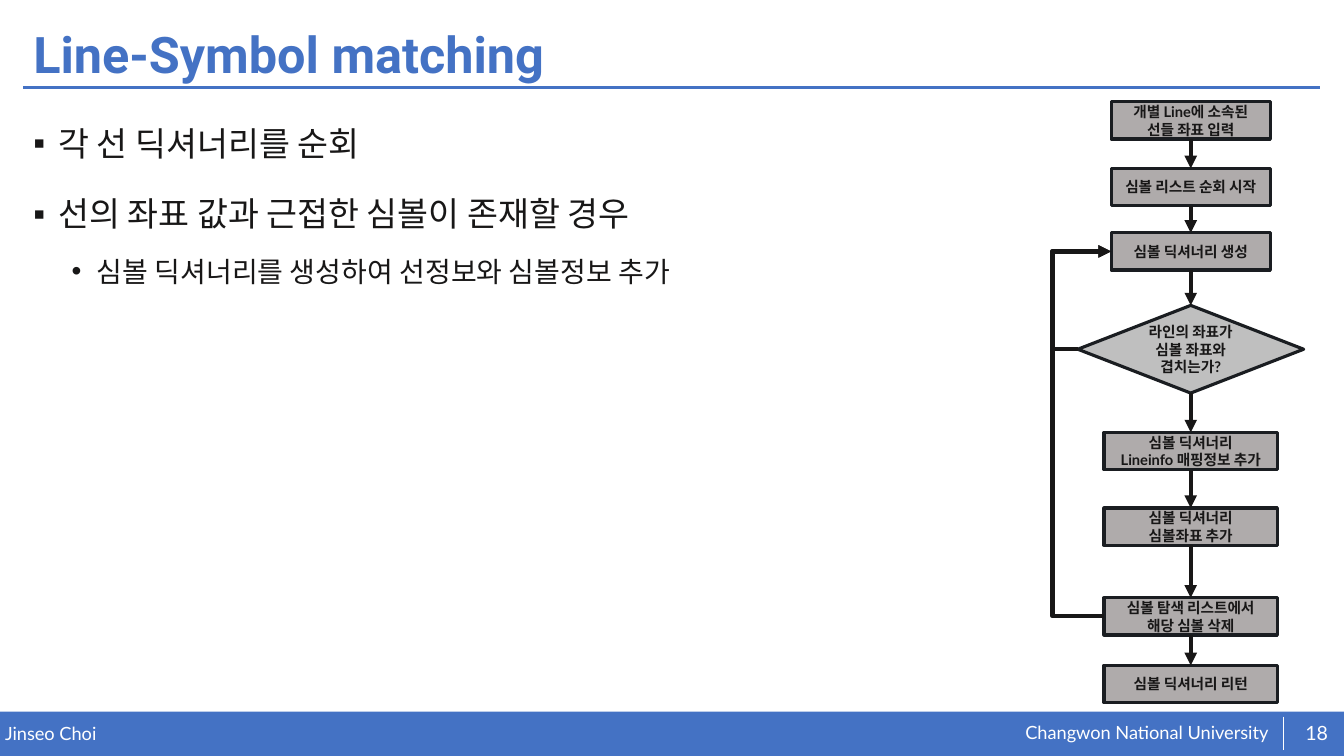
from lxml import etree
from pptx import Presentation
from pptx.dml.color import RGBColor
from pptx.enum.shapes import MSO_CONNECTOR, MSO_SHAPE
from pptx.enum.text import MSO_ANCHOR, MSO_AUTO_SIZE, PP_ALIGN
from pptx.oxml.ns import qn
from pptx.util import Inches, Pt

RECT, DIAMOND = MSO_SHAPE.RECTANGLE, MSO_SHAPE.FLOWCHART_DECISION
STRAIGHT, ELBOW = MSO_CONNECTOR.STRAIGHT, MSO_CONNECTOR.ELBOW
LEFT, CENTER = PP_ALIGN.LEFT, PP_ALIGN.CENTER
TOP, MIDDLE = MSO_ANCHOR.TOP, MSO_ANCHOR.MIDDLE
NOFIT = MSO_AUTO_SIZE.NONE

COLORS = {"blue": "4472C4", "white": "FFFFFF", "ink": "181717",
          "edge": "1A1D21", "box": "AFABAB", "choice": "BFBFBF"}

POINTS = [("각 선 딕셔너리를 순회", 0),
          ("선의 좌표 값과 근접한 심볼이 존재할 경우", 0),
          ("심볼 딕셔너리를 생성하여 선정보와 심볼정보 추가", 1)]
LEVELS = [{"size": 24, "before": 10, "mark": "▪", "indent": 0.25},
          {"size": 20, "before": 5, "mark": "•", "indent": 0.63}]

STEPS = [(["개별 Line에 소속된", "선들 좌표 입력"], 0, 1.58),
         (["심볼 리스트 순회 시작"], 0.66, 1.58),
         (["심볼 딕셔너리 생성"], 1.3, 1.58),
         (["라인의 좌표가", "심볼 좌표와", "겹치는가?"], 2.02, 2.24),
         (["심볼 딕셔너리", "Lineinfo 매핑정보 추가"], 3.28, 1.72),
         (["심볼 딕셔너리", "심볼좌표 추가"], 4.03, 1.72),
         (["심볼 탐색 리스트에서", "해당 심볼 삭제"], 4.92, 1.72),
         (["심볼 딕셔너리 리턴"], 5.59, 1.72)]
MAKE, CHECK, DROP = 2, 3, 6


def color(name):
    """Return the named colour."""
    return RGBColor.from_string(COLORS[name])


def write(frame, lines, size=13, font="Lato", hue="ink", bold=False,
          align=LEFT, anchor=TOP, inset=0):
    """Fill a text frame with one paragraph per line."""
    frame.word_wrap = True
    frame.auto_size = NOFIT
    frame.vertical_anchor = anchor
    frame.margin_left = frame.margin_right = Inches(inset)
    frame.margin_top = frame.margin_bottom = Inches(inset / 2)
    frame.text = "\n".join(lines)
    for para in frame.paragraphs:
        para.alignment = align
        for run in para.runs:
            run.font.name, run.font.size = font, Pt(size)
            run.font.bold = bold
            run.font.color.rgb = color(hue)


def place(shape, x, y, w, h):
    """Move a shape to a box given in inches."""
    shape.left, shape.top = Inches(x), Inches(y)
    shape.width, shape.height = Inches(w), Inches(h)


def label(slide, box, text, **style):
    """Add a text box."""
    area = slide.shapes.add_textbox(*map(Inches, box))
    write(area.text_frame, [text], **style)


def block(slide, kind, box, fill, edge=None):
    """Add a filled shape with an optional outline."""
    shape = slide.shapes.add_shape(kind, *map(Inches, box))
    shape.shadow.inherit = False
    shape.fill.solid()
    shape.fill.fore_color.rgb = color(fill)
    if edge:
        shape.line.color.rgb = color(edge)
        shape.line.width = Pt(2.25)
    else:
        shape.line.fill.background()
    return shape


def link(slide, start, end, hue="ink", width=3, head=True, rail=None):
    """Draw a line or arrow, bent by way of a vertical rail if given."""
    kind = STRAIGHT if rail is None else ELBOW
    line = slide.shapes.add_connector(kind, *map(Inches, start + end))
    line.line.color.rgb = color(hue)
    line.line.width = Pt(width)
    props = line._element.spPr
    if rail is not None:
        ratio = (rail - start[0]) / (end[0] - start[0])
        guides = props.find(qn("a:prstGeom")).get_or_add_avLst()
        etree.SubElement(guides, qn("a:gd"), name="adj1",
                         fmla=f"val {round(ratio * 100000)}")
    if head:
        etree.SubElement(props.find(qn("a:ln")), qn("a:tailEnd"),
                         type="triangle")
    etree.SubElement(props, qn("a:effectLst"))


def header(slide, x, y, w, h):
    """Set the title and the rule below it."""
    title = slide.shapes.title
    place(title, x, y, w, h)
    write(title.text_frame, ["Line-Symbol matching"], size=36, font="Roboto",
          hue="blue", bold=True, anchor=MIDDLE, inset=0.1)
    title.text_frame.paragraphs[0].line_spacing = 0.9
    rule = y + 0.69
    link(slide, (x, rule), (x + w, rule), hue="blue", width=2, head=False)


def outline(slide, x, y, w, h):
    """Set the bulleted list."""
    body = slide.placeholders[1]
    place(body, x, y, w, h)
    write(body.text_frame, [text for text, _ in POINTS], inset=0.1)
    for para, (_, depth) in zip(body.text_frame.paragraphs, POINTS):
        level = LEVELS[depth]
        para.level = depth
        para.line_spacing = 1.4
        para.space_before = Pt(level["before"])
        para.runs[0].font.size = Pt(level["size"])
        props = para._p.get_or_add_pPr()
        props.set("marL", str(Inches(level["indent"])))
        props.set("indent", str(-Inches(0.25)))
        etree.SubElement(props, qn("a:buFont"), typeface="Arial")
        etree.SubElement(props, qn("a:buChar"), char=level["mark"])


def flow(slide, x, y, w):
    """Draw the flow chart centred in its column."""
    mid = x + w / 2
    boxes = []
    for step, (lines, drop, wide) in enumerate(STEPS):
        check = step == CHECK
        high = 0.87 if check else 0.37
        box = (mid - wide / 2, y + drop, wide, high)
        shape = block(slide, DIAMOND if check else RECT, box,
                      "choice" if check else "box", "edge")
        write(shape.text_frame, lines, size=10.5, bold=True,
              align=CENTER, anchor=MIDDLE)
        boxes.append(box)
    for above, below in zip(boxes, boxes[1:]):
        link(slide, (mid, above[1] + above[3]), (mid, below[1]))
    sides = [(left, top + high / 2) for left, top, _, high in boxes]
    for step in (CHECK, DROP):
        link(slide, sides[step], sides[MAKE], rail=x - 0.25)


def footer(slide, x, y, w, h):
    """Draw the bar with author, school and page number."""
    block(slide, RECT, (x, y, w, h), "blue")
    label(slide, (x + 0.05, y + 0.11, 6.55, 0.22), "Jinseo Choi", hue="white")
    label(slide, (x + 10.17, y + 0.1, 2.5, 0.23),
          "Changwon National University", hue="white")
    split = x + w - 0.6
    link(slide, (split, y + 0.05), (split, y + 0.38), hue="white",
         width=0.5, head=False)
    label(slide, (split + 0.09, y + 0.01, 0.48, 0.4), "18", size=14,
          hue="white", align=CENTER, anchor=MIDDLE)


def main():
    """Build and save the slide."""
    deck = Presentation()
    deck.slide_width, deck.slide_height = Inches(13.33), Inches(7.5)
    slide = deck.slides.add_slide(deck.slide_layouts[1])
    footer(slide, 0, 7.06, 13.33, 0.44)
    header(slide, 0.23, 0.18, 12.86, 0.77)
    outline(slide, 0.23, 1.01, 12.86, 5.63)
    flow(slide, 10.69, 1.01, 2.24)
    deck.save("out.pptx")


if __name__ == "__main__":
    main()
